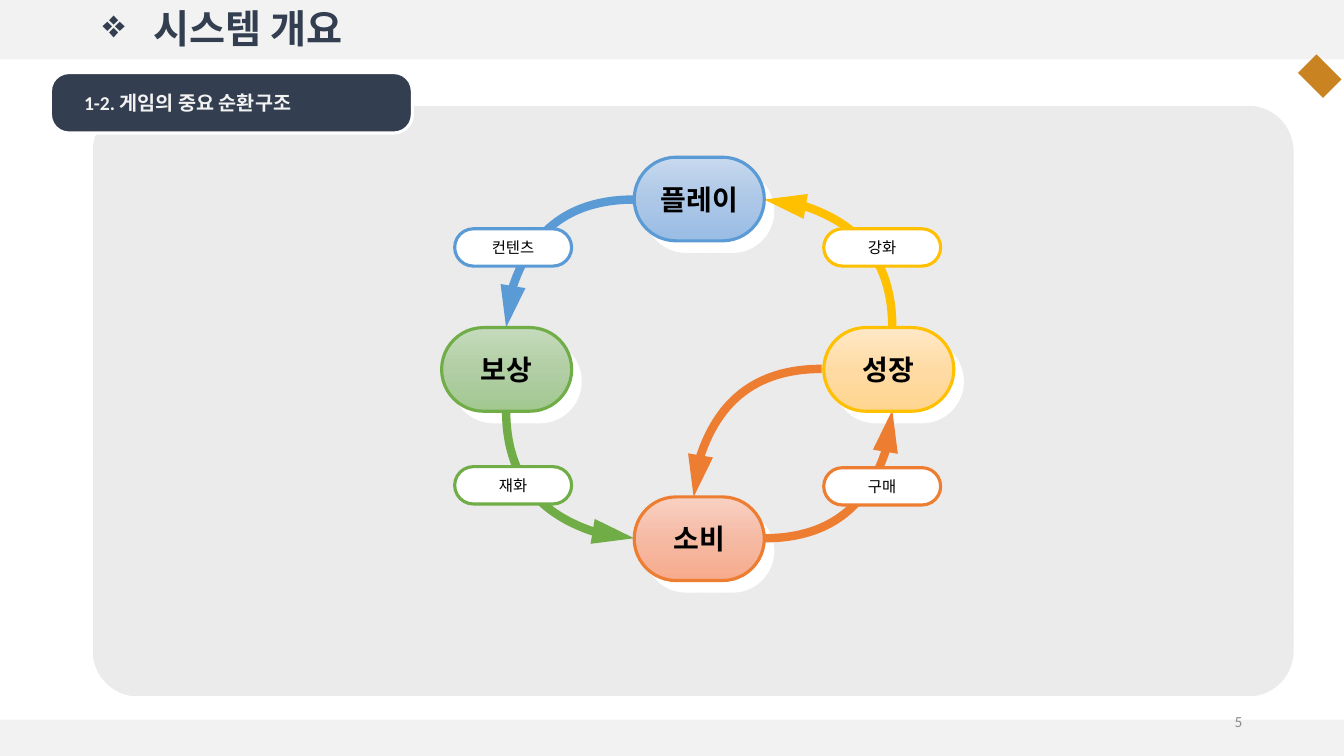
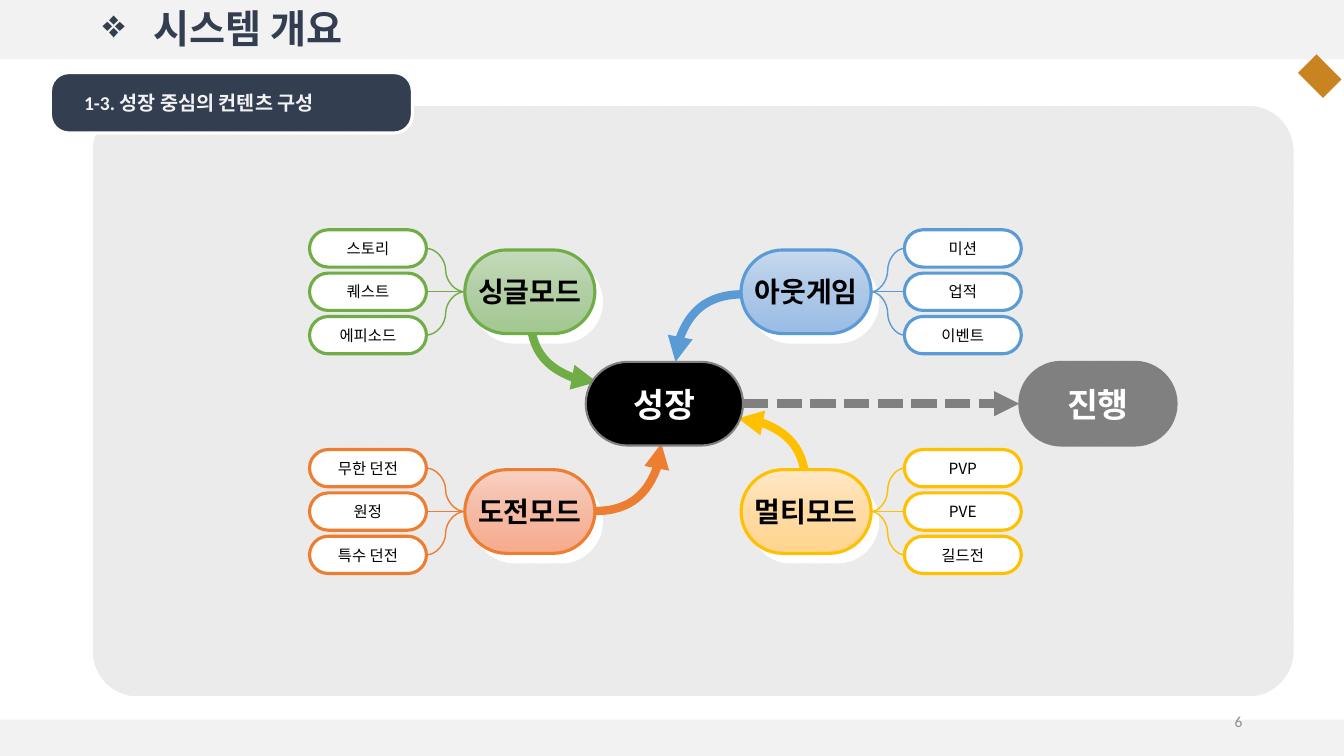
from copy import deepcopy

from pptx import Presentation
from pptx.dml.color import RGBColor
from pptx.enum.dml import MSO_LINE, MSO_PATTERN
from pptx.enum.shapes import MSO_CONNECTOR, MSO_SHAPE
from pptx.enum.text import MSO_ANCHOR, PP_ALIGN
from pptx.oxml.ns import qn
from pptx.oxml.xmlchemy import OxmlElement
from pptx.util import Inches, Pt

RECT, ROUND = MSO_SHAPE.RECTANGLE, MSO_SHAPE.ROUNDED_RECTANGLE
STRAIGHT, CURVE = MSO_CONNECTOR.STRAIGHT, MSO_CONNECTOR.CURVE
LEFT, CENTER, RIGHT = PP_ALIGN.LEFT, PP_ALIGN.CENTER, PP_ALIGN.RIGHT
MIDDLE = MSO_ANCHOR.MIDDLE
DIAGONAL = MSO_PATTERN.DARK_UPWARD_DIAGONAL
DASH = MSO_LINE.SQUARE_DOT

W, H = 13.33, 7.5
KOREAN, LATIN = "Noto Sans CJK KR", "Calibri"
NAVY, BAND, PANEL, ACCENT = "333F50", "F2F2F2", "EAEAEA", "C98321"
WHITE, BLACK, GRAY, NUMBER = "FFFFFF", "000000", "808080", "8C8C8C"
BLUE, GREEN, YELLOW, ORANGE = "5B9BD5", "70AD47", "FFC000", "ED7D31"
TINTS = {
    BLUE: ("C7D9EE", "ADC7E7", "9ABDE5"),
    GREEN: ("C5DBBC", "B1CEA4", "A2C890"),
    YELLOW: ("FFE8C7", "FFDBA4", "FFD58F"),
    ORANGE: ("F9D1C3", "F5BAA4", "F7AB8D"),
}
NODE_W, NODE_H = 1.29, 0.83
CHIP_W, CHIP_H, CHIP_PITCH = 1.16, 0.37, 0.43
HUB_W = 1.56
BEZIER = 0.55  # control point share for a quarter ellipse

TITLE = "시스템 개요"

# Nodes: text, colour, left, top.
# Arcs: colour, start, end, whether the arc leaves horizontally.
CYCLE_NODES = [
    ("플레이", BLUE, 6.29, 1.56),
    ("보상", GREEN, 4.38, 3.25),
    ("성장", YELLOW, 8.17, 3.25),
    ("소비", ORANGE, 6.29, 4.93),
]
CYCLE_ARCS = [
    (BLUE, (6.29, 1.98), (5.02, 3.25), True),
    (GREEN, (5.02, 4.07), (6.29, 5.34), False),
    (YELLOW, (8.85, 3.25), (7.58, 1.98), False),
    (ORANGE, (7.58, 5.34), (8.85, 4.07), True),
    (ORANGE, (8.15, 3.66), (6.88, 4.93), True),
]
CYCLE_CHIPS = [
    ("컨텐츠", BLUE, 4.51, 2.27),
    ("강화", YELLOW, 8.17, 2.27),
    ("구매", ORANGE, 8.17, 4.64),
    ("재화", GREEN, 4.51, 4.63),
]

MODE_NODES = [
    ("싱글모드", GREEN, 4.61, 2.48),
    ("아웃게임", BLUE, 7.35, 2.48),
    ("도전모드", ORANGE, 4.61, 4.66),
    ("멀티모드", YELLOW, 7.35, 4.66),
]
MODE_ARCS = [
    (BLUE, (7.37, 2.92), (6.7, 3.59), True),
    (GREEN, (5.26, 3.13), (5.92, 3.79), False),
    (YELLOW, (7.99, 4.82), (7.32, 4.15), False),
    (ORANGE, (5.9, 5.07), (6.56, 4.4), True),
]
MODE_CONTENTS = {
    "싱글모드": ("스토리", "퀘스트", "에피소드"),
    "아웃게임": ("미션", "업적", "이벤트"),
    "도전모드": ("무한 던전", "원정", "특수 던전"),
    "멀티모드": ("PVP", "PVE", "길드전"),
}
CHIP_LEFT, CHIP_RIGHT = 3.07, 8.97
HUBS = [("성장", BLACK, 5.81), ("진행", GRAY, 10.11)]
HUB_TOP = 3.59


def rgb(colour):
    return RGBColor.from_string(colour)


def add_xml(parent, tag, **attributes):
    child = OxmlElement(tag)
    for name, value in attributes.items():
        child.set(name, value)
    parent.append(child)
    return child


def box(s, kind, x, y, w, h, fill, line=None, width=2.25, adj=None):
    sp = s.shapes.add_shape(kind, Inches(x), Inches(y), Inches(w), Inches(h))
    sp.shadow.inherit = False
    if adj is not None:
        sp.adjustments[0] = adj
    if fill in TINTS:
        shade(sp, TINTS[fill])
    else:
        sp.fill.solid()
        sp.fill.fore_color.rgb = rgb(fill)
    if line:
        sp.line.color.rgb = rgb(line)
        sp.line.width = Pt(width)
    else:
        sp.line.fill.background()
    return sp


def shade(sp, colours):
    """Fill with a downward gradient of three even stops."""
    sp.fill.gradient()
    sp.fill.gradient_angle = 270
    stops = sp._element.spPr.find(qn("a:gradFill")).find(qn("a:gsLst"))
    stops.insert(1, deepcopy(stops[0]))
    for i, (stop, colour) in enumerate(zip(sp.fill.gradient_stops, colours)):
        stop.position = i / 2
        stop.color.rgb = rgb(colour)


def write(sp, text, size, colour, bold=False, align=CENTER, font=KOREAN,
          insets=(0, 0), wrap=False):
    tf = sp.text_frame
    tf.text = text
    tf.word_wrap = wrap
    tf.vertical_anchor = MIDDLE
    tf.margin_left, tf.margin_right = map(Inches, insets)
    p = tf.paragraphs[0]
    p.alignment = align
    r = p.runs[0]
    r.font.size, r.font.bold, r.font.name = Pt(size), bold, font
    r.font.color.rgb = rgb(colour)
    add_xml(r._r.get_or_add_rPr(), "a:ea", typeface=KOREAN)
    return p


def text_box(s, x, y, w, h, *args, **options):
    tb = s.shapes.add_textbox(Inches(x), Inches(y), Inches(w), Inches(h))
    return write(tb, *args, insets=(0.1, 0.1), wrap=True, **options)


def style_line(sp, colour, width, head=None):
    """Colour a line; head is the length class of its arrowhead."""
    sp.line.color.rgb = rgb(colour)
    sp.line.width = Pt(width)
    if head:
        add_xml(sp.line._get_or_add_ln(), "a:tailEnd",
                type="triangle", w="med", len=head)


def connect(s, kind, start, end, colour, width):
    ends = [Inches(v) for v in start + end]
    line = s.shapes.add_connector(kind, *ends)
    add_xml(line._element.spPr, "a:effectLst")
    line.line.color.rgb = rgb(colour)
    line.line.width = Pt(width)
    return line


def arc(s, colour, start, end, horizontal, head):
    """Draw a quarter ellipse arrow as one Bezier segment."""
    (x0, y0), (x1, y1) = start, end
    dx, dy = (x1 - x0) * BEZIER, (y1 - y0) * BEZIER
    if horizontal:
        controls = [(x0 + dx, y0), (x1, y1 - dy)]
    else:
        controls = [(x0, y0 + dy), (x1 - dx, y1)]
    builder = s.shapes.build_freeform(Inches(x0), Inches(y0))
    points = [(Inches(x), Inches(y)) for x, y in controls + [end]]
    builder.add_line_segments(points, close=False)
    sp = builder.convert_to_shape()
    sp.shadow.inherit = False
    sp.fill.background()
    style_line(sp, colour, 6, head)
    outline = next(sp._element.iter(qn("a:path")))
    curve = OxmlElement("a:cubicBezTo")
    for segment in outline.findall(qn("a:lnTo")):
        curve.append(segment[0])
        outline.remove(segment)
    outline.append(curve)


def chip(s, text, colour, x, y):
    sp = box(s, ROUND, x, y, CHIP_W, CHIP_H, WHITE, colour, adj=0.5)
    write(sp, text, 11, BLACK)


def node_shadows(s, nodes, dx, dy):
    for _, _, x, y in nodes:
        box(s, ROUND, x + dx, y + dy, NODE_W, NODE_H, WHITE, adj=0.5)


def add_nodes(s, nodes):
    for text, colour, x, y in nodes:
        sp = box(s, ROUND, x, y, NODE_W, NODE_H, colour, colour, adj=0.5)
        write(sp, text, 20, BLACK, bold=True)


def base_slide(prs, heading, number):
    s = prs.slides.add_slide(prs.slide_layouts[6])
    box(s, RECT, 0, 7.14, W, 0.36, BAND)
    box(s, RECT, 0, 0, W, 0.59, BAND)
    box(s, RECT, 12.96, 0.58, 0.26, 0.35, ACCENT).rotation = 315
    panel = box(s, ROUND, 0.92, 1.05, 11.91, 5.86, PANEL, adj=0.077)
    panel.fill.patterned()
    panel.fill.pattern = DIAGONAL
    panel.fill.fore_color.rgb = rgb(BAND)
    panel.fill.back_color.rgb = rgb(PANEL)

    p = text_box(s, 0.92, 0.02, 11.5, 0.57, TITLE, 28, NAVY, bold=True, align=LEFT)
    p.line_spacing = 0.9
    pPr = p._p.get_or_add_pPr()
    pPr.set("marL", str(Inches(0.5)))
    pPr.set("indent", str(-Inches(0.5)))
    add_xml(pPr, "a:buChar", char="❖")

    tag = box(s, ROUND, 0.5, 0.72, 3.59, 0.6, NAVY, WHITE, adj=0.306)
    write(tag, heading, 14, BAND, bold=True, align=LEFT, font=LATIN,
          insets=(0.28, 0.1), wrap=True)
    text_box(s, 9.42, 6.96, 3, 0.4, number, 11, NUMBER, align=RIGHT, font=LATIN)
    return s


def cycle_slide(prs):
    s = base_slide(prs, "1-2. 게임의 중요 순환구조", "5")
    node_shadows(s, CYCLE_NODES, 0.1, 0.12)
    for item in CYCLE_ARCS:
        arc(s, *item, head="lg")
    add_nodes(s, CYCLE_NODES)
    for item in CYCLE_CHIPS:
        chip(s, *item)


def modes_slide(prs):
    s = base_slide(prs, "1-3. 성장 중심의 컨텐츠 구성", "6")
    node_shadows(s, MODE_NODES, 0.08, 0.1)
    for item in MODE_ARCS:
        arc(s, *item, head="med")
    for text, fill, x in HUBS:
        hub = box(s, ROUND, x, HUB_TOP, HUB_W, NODE_H, fill, GRAY, 1.5, adj=0.5)
        write(hub, text, 24, WHITE, bold=True)
    add_nodes(s, MODE_NODES)

    for mode, colour, x, y in MODE_NODES:
        on_left = x < W / 2
        middle = y + NODE_H / 2
        chip_x = CHIP_LEFT if on_left else CHIP_RIGHT
        chip_edge = chip_x + CHIP_W if on_left else chip_x
        node_edge = x if on_left else x + NODE_W
        for i, text in enumerate(MODE_CONTENTS[mode]):
            chip_y = middle + (i - 1) * CHIP_PITCH
            chip(s, text, colour, chip_x, chip_y - CHIP_H / 2)
            connect(s, STRAIGHT if i == 1 else CURVE, (chip_edge, chip_y),
                    (node_edge, middle), colour, 1)

    hub_y = HUB_TOP + NODE_H / 2
    progress = connect(s, STRAIGHT, (HUBS[0][2] + HUB_W, hub_y),
                       (HUBS[1][2], hub_y), GRAY, 6)
    progress.line.dash_style = DASH
    style_line(progress, GRAY, 6, "med")


def main():
    prs = Presentation()
    prs.slide_width, prs.slide_height = Inches(W), Inches(H)
    cycle_slide(prs)
    modes_slide(prs)
    prs.save("out.pptx")


if __name__ == "__main__":
    main()
